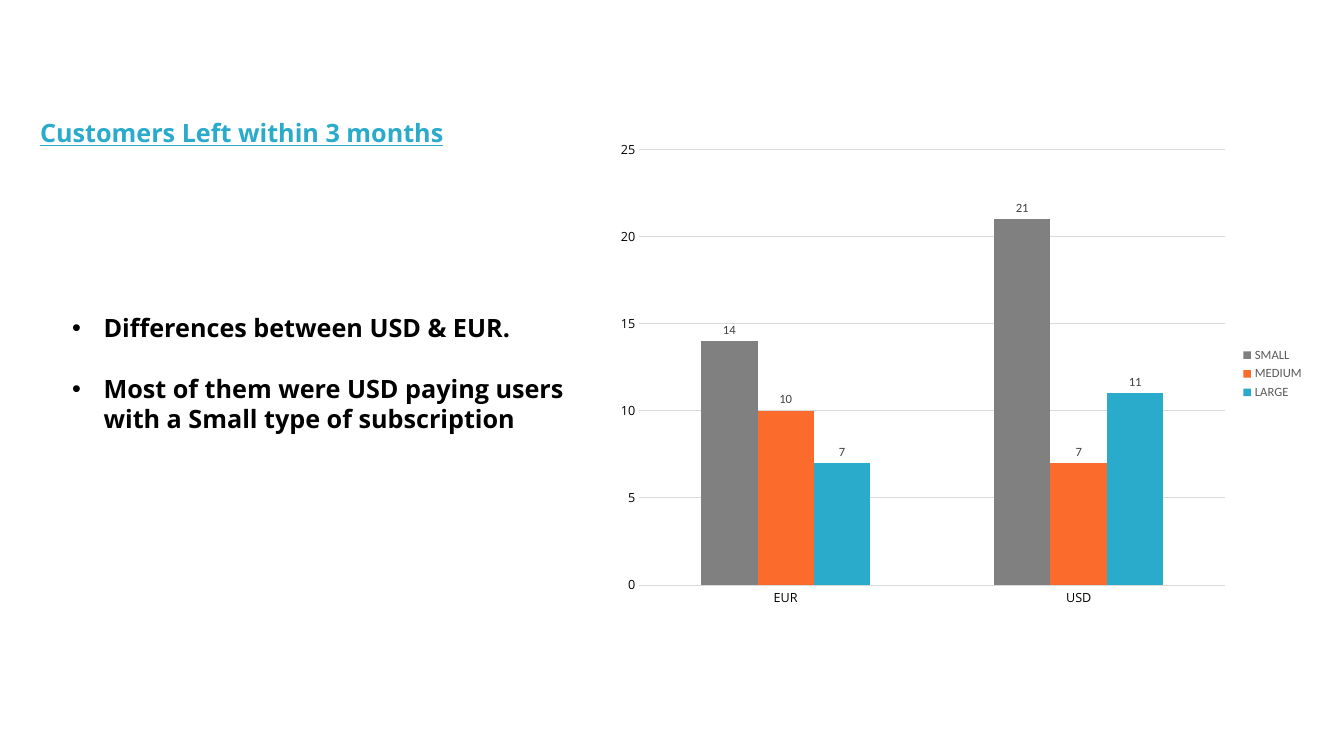
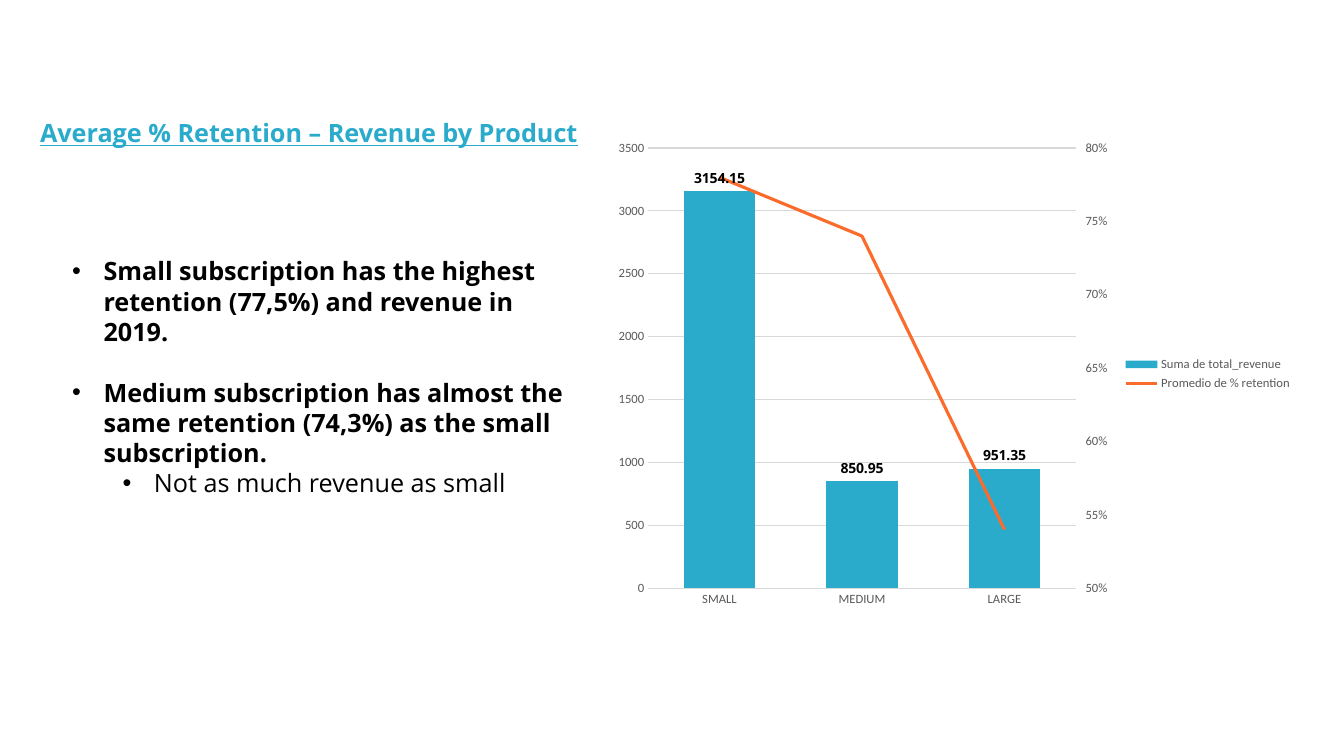
from copy import deepcopy
from dataclasses import dataclass

from lxml import etree
from pptx import Presentation
from pptx import util as u
from pptx.chart import axis as ax
from pptx.chart import data as cd
from pptx.dml.color import RGBColor
from pptx.enum import chart as ce, text as te
from pptx.oxml import ns

HUES = {"ink": "000000", "blue": "2AABCB", "orange": "FB6B2B", "gray": "808080",
        "soft": "595959", "label": "404040", "grid": "D9D9D9"}
SANS, PLAIN = "Open Sans", "Calibri"


@dataclass
class Face:
    """A text style."""
    size: float
    hue: str = "ink"
    name: str = PLAIN
    bold: bool = False
    under: bool = False


@dataclass
class Point:
    """One bullet: its text, its level and the space above it."""
    words: str
    level: int = 0
    gap: float = 0


@dataclass
class Series:
    """One chart series; a line goes to the right axis."""
    name: str
    vals: tuple
    hue: str
    line: bool = False


@dataclass
class Graph:
    """A column chart with its place in cm."""
    box: tuple
    cats: tuple
    series: tuple
    gap: int
    axis: Face
    label: Face


@dataclass
class Page:
    """One slide: title, bullets and chart."""
    title: str
    box: tuple
    points: tuple
    graph: Graph


TITLE = Face(18, "blue", SANS, True, True)
BODY = (Face(18, name=SANS, bold=True), Face(18, name=SANS))
SMALL = Face(9, "soft")
BLANK = 21.8

PAGES = (
    Page("Customers Left within 3 months", (1.57, 7.75, 12.9, 3.33),
         (Point("Differences between USD & EUR."),
          Point("Most of them were USD paying users with a Small type of subscription",
                gap=BLANK)),
         Graph((15.29, 3.3, 17.83, 12.24), ("EUR", "USD"),
               (Series("SMALL", (14, 21), "gray"),
                Series("MEDIUM", (10, 7), "orange"),
                Series("LARGE", (7, 11), "blue")),
               219, Face(9, name=SANS), Face(9, "label"))),
    Page("Average % Retention – Revenue by Product", (1.57, 6.32, 12.9, 6.4),
         (Point("Small subscription has the highest retention (77,5%) "
                "and revenue in 2019."),
          Point("Medium subscription has almost the same retention (74,3%) "
                "as the small subscription.", gap=BLANK),
          Point("Not as much revenue as small", 1)),
         Graph((15.24, 3.3, 17.58, 12.24), ("SMALL", "MEDIUM", "LARGE"),
               (Series("Suma de total_revenue", (3154.15, 850.95, 951.35), "blue"),
                Series("Promedio de % retention", (0.78, 0.74, 0.54), "orange", True)),
               100, SMALL, Face(10, name=SANS, bold=True))),
)


def rgb(hue: str) -> RGBColor:
    """Look up a named colour."""
    return RGBColor.from_string(HUES[hue])


def style(font, face: Face) -> None:
    """Apply a face to a font."""
    font.size, font.name = u.Pt(face.size), face.name
    font.bold, font.underline = face.bold, face.under
    font.color.rgb = rgb(face.hue)


def frame(slide, box: tuple, anchor):
    """Add a wrapping text box and return its frame."""
    tf = slide.shapes.add_textbox(*map(u.Cm, box)).text_frame
    tf.word_wrap, tf.vertical_anchor = True, anchor
    return tf


def write(para, words: str, face: Face) -> None:
    """Add one styled run."""
    run = para.add_run()
    run.text = words
    style(run.font, face)


def bullet(para, level: int) -> None:
    """Give a paragraph a hanging bullet."""
    para.level = level
    props = para._p.get_or_add_pPr()
    props.set("marL", str(u.Cm(0.79 + 1.27 * level)))
    props.set("indent", str(-u.Cm(0.79)))
    etree.SubElement(props, ns.qn("a:buFont"), typeface="Arial")
    etree.SubElement(props, ns.qn("a:buChar"), char="•")


def head(slide, words: str) -> None:
    """Draw the slide title."""
    para = frame(slide, (0.76, 2.72, 15.65, 1.14), te.MSO_ANCHOR.BOTTOM).paragraphs[0]
    para.line_spacing = 0.9
    write(para, words, TITLE)


def body(slide, box: tuple, points: tuple) -> None:
    """Draw the bullet list."""
    tf = frame(slide, box, te.MSO_ANCHOR.TOP)
    for i, point in enumerate(points):
        para = tf.add_paragraph() if i else tf.paragraphs[0]
        para.space_before = u.Pt(point.gap)
        bullet(para, point.level)
        write(para, point.words, BODY[point.level])


def rule(line) -> None:
    """Style a thin chart line."""
    line.color.rgb, line.width = rgb("grid"), u.Pt(0.75)


def axes(chart, face: Face) -> None:
    """Style the main axes."""
    cat, val = chart.category_axis, chart.value_axis
    for item in (cat, val):
        style(item.tick_labels.font, face)
        item.major_tick_mark = item.minor_tick_mark = ce.XL_TICK_MARK.NONE
    rule(cat.format.line)
    val.format.line.fill.background()
    val.has_major_gridlines = True
    rule(val.major_gridlines.format.line)


def right(chart, spot: int) -> None:
    """Move one series to a line plot on a right-hand axis."""
    bars = chart.plots[0]
    ser = bars.series[spot]._element
    for node in ser.xpath("c:invertIfNegative"):
        ser.remove(node)
    root = chart._chartSpace.xpath(".//c:plotArea")[0]
    plot = etree.Element(ns.qn("c:lineChart"))
    bars._element.addnext(plot)
    for tag, val in (("grouping", "standard"), ("varyColors", "0")):
        etree.SubElement(plot, ns.qn(f"c:{tag}"), val=val)
    plot.append(ser)
    etree.SubElement(plot, ns.qn("c:marker"), val="1")

    ids = ("5001", "5002")
    cat, val = (deepcopy(root.xpath(f"c:{tag}")[0]) for tag in ("catAx", "valAx"))
    root.xpath("c:valAx")[0].addnext(val)
    val.addnext(cat)
    for node, own, other in ((cat, *ids), (val, *ids[::-1])):
        etree.SubElement(plot, ns.qn("c:axId"), val=own)
        node.xpath("c:axId")[0].set("val", own)
        node.xpath("c:crossAx")[0].set("val", other)
    val.xpath("c:axPos")[0].set("val", "r")
    val.xpath("c:crosses")[0].set("val", "max")
    ax.CategoryAxis(cat).visible = False
    side = ax.ValueAxis(val)
    side.has_major_gridlines = False
    side.minimum_scale = 0.5
    side.major_tick_mark = ce.XL_TICK_MARK.OUTSIDE
    side.tick_labels.number_format = "0%"
    side.tick_labels.number_format_is_linked = False


def draw(slide, graph: Graph) -> None:
    """Draw a chart with its axes, legend and labels."""
    data = cd.CategoryChartData()
    data.categories = graph.cats
    for item in graph.series:
        data.add_series(item.name, item.vals)
    chart = slide.shapes.add_chart(ce.XL_CHART_TYPE.COLUMN_CLUSTERED,
                                   *map(u.Cm, graph.box), data).chart
    chart.has_title = False
    style(chart.font, Face(10))
    chart.has_legend = True
    chart.legend.position = ce.XL_LEGEND_POSITION.RIGHT
    chart.legend.include_in_layout = False
    style(chart.legend.font, SMALL)
    axes(chart, graph.axis)
    bars = chart.plots[0]
    bars.gap_width, bars.vary_by_categories = graph.gap, False
    for i, item in enumerate(graph.series):
        if item.line:
            right(chart, i)
    shown = [ser for plot in chart.plots for ser in plot.series]
    for ser, item in zip(shown, graph.series):
        if item.line:
            ser.smooth = False
            ser.marker.style = ce.XL_MARKER_STYLE.NONE
            ser.format.line.color.rgb = rgb(item.hue)
            ser.format.line.width = u.Pt(2.25)
            continue
        ser.format.fill.solid()
        ser.format.fill.fore_color.rgb = rgb(item.hue)
        tags = ser.data_labels
        tags.show_value = True
        tags.position = ce.XL_LABEL_POSITION.OUTSIDE_END
        style(tags.font, graph.label)


def build() -> None:
    """Build and save the deck."""
    deck = Presentation()
    deck.slide_width, deck.slide_height = u.Cm(33.87), u.Cm(19.05)
    for page in PAGES:
        slide = deck.slides.add_slide(deck.slide_layouts[6])
        draw(slide, page.graph)
        body(slide, page.box, page.points)
        head(slide, page.title)
    deck.save("out.pptx")


build()
